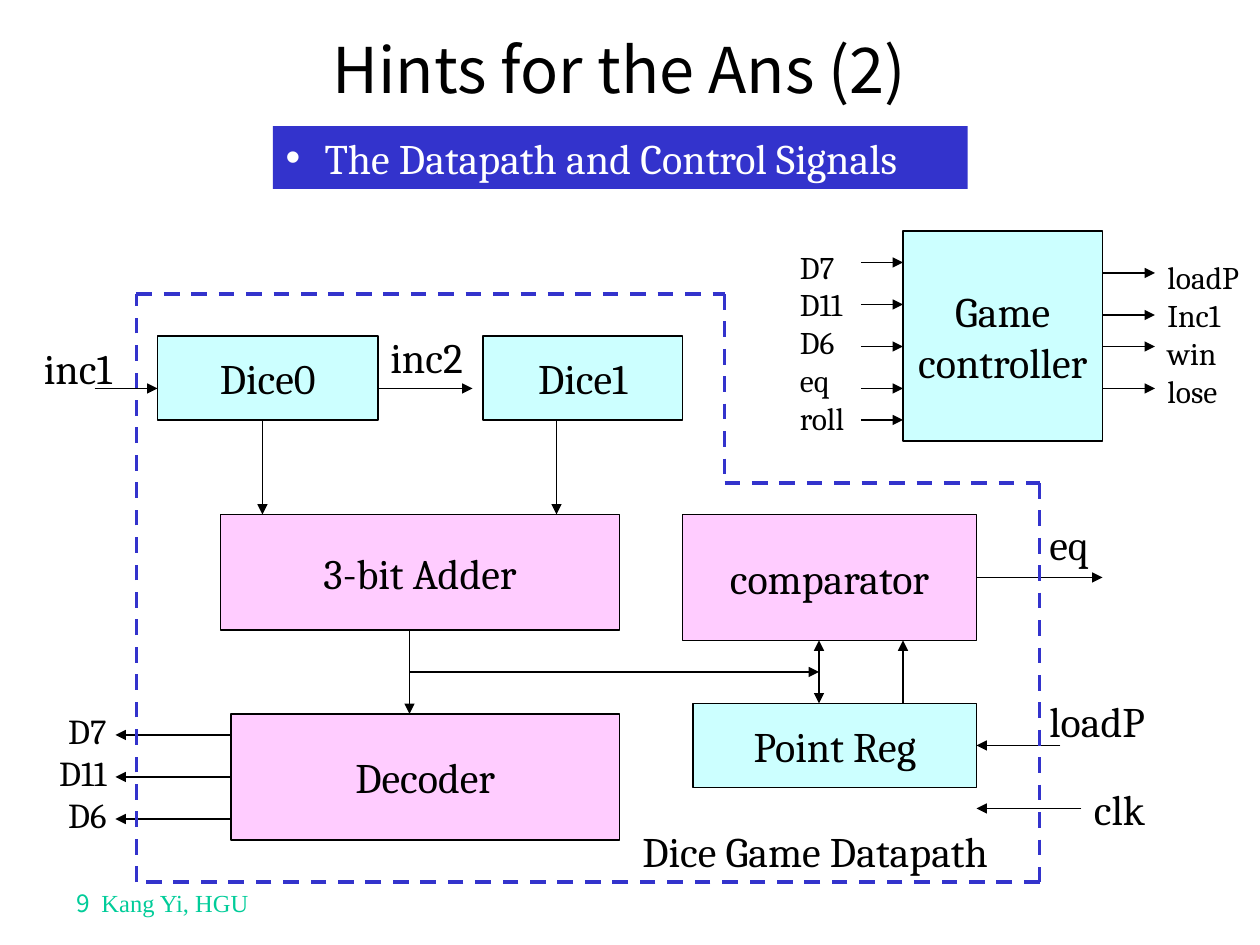
from itertools import pairwise

from lxml import etree
from pptx import Presentation
from pptx.dml.color import RGBColor
from pptx.enum.dml import MSO_LINE
from pptx.enum.shapes import MSO_CONNECTOR, MSO_SHAPE
from pptx.enum.text import MSO_ANCHOR, MSO_AUTO_SIZE, PP_ALIGN
from pptx.oxml.ns import qn
from pptx.util import Pt

LEFT, CENTER, RIGHT = PP_ALIGN.LEFT, PP_ALIGN.CENTER, PP_ALIGN.RIGHT
STRAIGHT = MSO_CONNECTOR.STRAIGHT
LEFT_SIDE, RIGHT_SIDE = 1, 3
SERIF, SANS, FOOTER_SERIF = "Cambria", "Noto Sans CJK KR", "Times New Roman"
COLORS = {
    "ink": "000000",
    "paper": "FFFFFF",
    "accent": "3333CC",
    "register": "CCFFFF",
    "logic": "FFCCFF",
    "footer": "00CC99",
}


def rgb(name):
    return RGBColor.from_string(COLORS[name])


def place(shape, left, top, width, height):
    shape.left, shape.top = Pt(left), Pt(top)
    shape.width, shape.height = Pt(width), Pt(height)


def style_font(font, size, face=SERIF, color="ink"):
    font.size, font.name = Pt(size), face
    font.color.rgb = rgb(color)


def write_lines(frame, lines, size, align):
    frame.text = "\n".join(lines)
    frame.word_wrap = False
    for paragraph in frame.paragraphs:
        paragraph.alignment = align
        style_font(paragraph.font, size)


def add_block(slide, box, lines, fill):
    block = slide.shapes.add_shape(MSO_SHAPE.RECTANGLE, *map(Pt, box))
    block.shadow.inherit = False
    block.fill.solid()
    block.fill.fore_color.rgb = rgb(fill)
    block.line.color.rgb = rgb("ink")
    block.line.width = Pt(0.75)
    block.text_frame.vertical_anchor = MSO_ANCHOR.MIDDLE
    write_lines(block.text_frame, lines, 24, CENTER)
    return block


def add_label(slide, box, lines, size=24, align=LEFT):
    label = slide.shapes.add_textbox(*map(Pt, box))
    write_lines(label.text_frame, lines, size, align)


def add_line(slide, start, end, color="ink", width=0.75):
    line = slide.shapes.add_connector(STRAIGHT, *map(Pt, (*start, *end)))
    line.line.color.rgb = rgb(color)
    line.line.width = Pt(width)
    etree.SubElement(line._element.spPr, qn("a:effectLst"))
    return line


def add_arrow(slide, start, end, both_ways=False):
    arrow = add_line(slide, start, end)
    ends = ("a:headEnd", "a:tailEnd") if both_ways else ("a:tailEnd",)
    for tag in ends:
        etree.SubElement(arrow.line._get_or_add_ln(), qn(tag), type="triangle")
    return arrow


def add_heading(slide, left, top, width, height):
    title = slide.shapes.title
    place(title, left, top, width, height)
    title.text_frame.text = "Hints for the Ans (2)"
    title.text_frame.auto_size = MSO_AUTO_SIZE.NONE
    title.text_frame.vertical_anchor = MSO_ANCHOR.MIDDLE
    style_font(title.text_frame.paragraphs[0].font, 36, SANS)


def add_topic(slide, left, top, width, height):
    topic = slide.placeholders[1]
    place(topic, left, top, width, height)
    topic.fill.solid()
    topic.fill.fore_color.rgb = rgb("accent")
    topic.text_frame.text = " The Datapath and Control Signals"
    topic.text_frame.auto_size = MSO_AUTO_SIZE.NONE
    paragraph = topic.text_frame.paragraphs[0]
    paragraph.space_before = Pt(0)
    style_font(paragraph.font, 24, color="paper")
    properties = paragraph._p.get_or_add_pPr()
    properties.set("marL", str(Pt(17)))
    properties.set("indent", str(Pt(-17)))


def add_controller(slide, left, top, width, height):
    add_block(slide, (left, top, width, height), ["Game", "controller"], "register")
    right = left + width
    for y in (18, 42, 66, 90, 108):
        add_arrow(slide, (left - 24, top + y), (left, top + y))
    for y in (24, 48, 66, 90):
        add_arrow(slide, (right, top + y), (right + 30, top + y))
    add_label(slide, (left - 66, top + 6, 46, 115), ["D7", "D11", "D6", "eq", "roll"], 18)
    add_label(slide, (right + 30, top + 12, 60, 94), ["loadP", "Inc1", "win", "lose"], 18)


def add_datapath(slide, left, top, width, height):
    def at(x, y):
        return left + x, top + y

    blocks = {
        name: add_block(slide, (*at(x, y), w, h), [name], fill)
        for name, x, y, w, h, fill in (
            ("Dice0", 12, 24, 126, 48, "register"),
            ("Dice1", 198, 24, 114, 48, "register"),
            ("3-bit Adder", 48, 126, 228, 66, "logic"),
            ("Decoder", 54, 240, 222, 72, "logic"),
            ("Point Reg", 318, 234, 162, 48, "register"),
            ("comparator", 312, 126, 168, 72, "logic"),
        )
    }

    for start, end in (
        ((-24, 54), (12, 54)),       # inc1 to Dice0
        ((138, 54), (192, 54)),      # Dice0 to Dice1
        ((72, 72), (72, 126)),       # Dice0 to adder
        ((240, 72), (240, 126)),     # Dice1 to adder
        ((156, 192), (156, 240)),    # adder to decoder
        ((156, 216), (390, 216)),    # sum to comparator
        ((438, 234), (438, 198)),    # register to comparator
        ((540, 294), (480, 294)),    # clk
        ((54, 252), (-12, 252)),     # D7
        ((54, 300), (-12, 300)),     # D6
    ):
        add_arrow(slide, at(*start), at(*end))
    add_arrow(slide, at(390, 234), at(390, 198), both_ways=True)

    d11 = add_arrow(slide, at(54, 276), at(-12, 276))
    d11.begin_connect(blocks["Decoder"], LEFT_SIDE)
    equal = add_arrow(slide, at(480, 162), at(552, 162))
    equal.begin_connect(blocks["comparator"], RIGHT_SIDE)
    load = add_arrow(slide, at(528, 258), at(480, 258))
    load.end_connect(blocks["Point Reg"], RIGHT_SIDE)

    for text, x, y, w in (
        ("inc1", -60, 24, 58),
        ("inc2", 138, 18, 58),
        ("eq", 514.5, 124.5, 40),
        ("loadP", 514.5, 226, 76),
        ("clk", 540, 276, 48),
        ("Dice Game Datapath", 282, 300, 236),
    ):
        add_label(slide, (*at(x, y), w, 36), [text])
    add_label(slide, (*at(-60, 234), 50, 79), ["D7", "D11", "D6"], 20, RIGHT)

    notch_x, notch_y = 336, 108
    corners = [(0, 0), (notch_x, 0), (notch_x, notch_y), (width, notch_y),
               (width, height), (0, height), (0, 0)]
    for start, end in pairwise(corners):
        edge = add_line(slide, at(*start), at(*end), "accent", 2.25)
        edge.line.dash_style = MSO_LINE.DASH


def add_footer(slide, left, top, width, height):
    footer = slide.shapes.add_textbox(*map(Pt, (left, top, width, height)))
    footer.text_frame.word_wrap = True
    paragraph = footer.text_frame.paragraphs[0]
    paragraph.alignment = CENTER
    for text, face in (("9  ", SANS), ("Kang Yi, HGU", FOOTER_SERIF)):
        run = paragraph.add_run()
        run.text = text
        style_font(run.font, 14, face, "footer")


def main():
    deck = Presentation()
    deck.slide_width, deck.slide_height = Pt(720), Pt(540)
    slide = deck.slides.add_slide(deck.slide_layouts[1])
    add_footer(slide, 18, 504, 150, 24)
    add_heading(slide, 48, 18, 612, 42)
    add_topic(slide, 156, 72, 397, 36)
    add_controller(slide, 516, 132, 114, 120)
    add_datapath(slide, 78, 168, 516, 336)
    deck.save("out.pptx")


if __name__ == "__main__":
    main()
